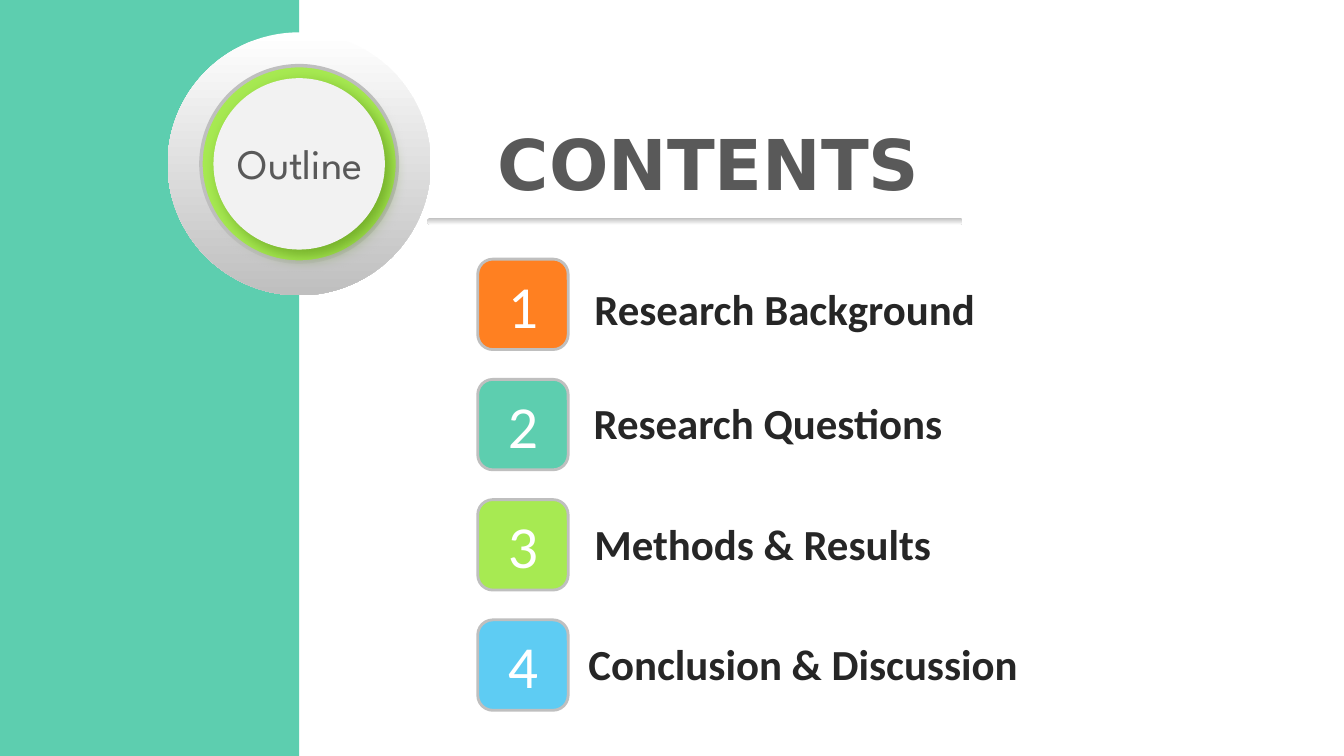
"""Build a contents slide with a round outline badge and four numbered topics."""
import math

import lxml.etree
import pptx
import pptx.dml.color
import pptx.enum.shapes
import pptx.enum.text
import pptx.oxml
import pptx.oxml.ns
import pptx.util

Cm = pptx.util.Cm
Pt = pptx.util.Pt
RGBColor = pptx.dml.color.RGBColor
MSO_SHAPE = pptx.enum.shapes.MSO_SHAPE
PP_ALIGN = pptx.enum.text.PP_ALIGN
MSO_ANCHOR = pptx.enum.text.MSO_ANCHOR
MSO_AUTO_SIZE = pptx.enum.text.MSO_AUTO_SIZE

TEAL = RGBColor(0x5D, 0xCE, 0xAF)
ORANGE = RGBColor(0xFF, 0x80, 0x21)
LIME = RGBColor(0xA7, 0xEA, 0x52)
SKY = RGBColor(0x5E, 0xCC, 0xF3)
WHITE = RGBColor(0xFF, 0xFF, 0xFF)
PALE = RGBColor(0xF2, 0xF2, 0xF2)
SILVER = RGBColor(0xBF, 0xBF, 0xBF)
GREY = RGBColor(0x59, 0x59, 0x59)
INK = RGBColor(0x26, 0x26, 0x26)
MOSS = RGBColor(0x56, 0x8C, 0x11)

CENTER_X, CENTER_Y = 7.54, 4.13
ROW_TOP, ROW_PITCH, BADGE_LEFT, BADGE_SIZE = 6.53, 3.03, 12.04, 2.28
TOPICS = [
    ("Research Background", ORANGE, 14.73, 6.99, 11.48),
    ("Research Questions", TEAL, 14.71, 9.88, 11.48),
    ("Methods & Results", LIME, 14.73, 12.93, 10.49),
    ("Conclusion & Discussion", SKY, 14.58, 15.95, 12.47),
]


class Deck:
    """Hold the text style and the current slide, and draw elements on it."""

    body_font = "Calibri"

    def __init__(self, prs):
        self.slide = prs.slides.add_slide(prs.slide_layouts[5])
        self.shapes = self.slide.shapes

    def set_text(self, sp, text, size, color, font=None, bold=False, align=PP_ALIGN.LEFT):
        tf = sp.text_frame
        tf.text = text
        tf.word_wrap = True
        p = tf.paragraphs[0]
        p.alignment = align
        r = p.runs[0]
        r.font.name = font or self.body_font
        r.font.size = Pt(size)
        r.font.bold = bold
        r.font.color.rgb = color
        return tf

    def title(self, text, left, top, width, height, size, font):
        sp = self.shapes.title
        sp.left, sp.top, sp.width, sp.height = Cm(left), Cm(top), Cm(width), Cm(height)
        tf = self.set_text(sp, text, size, GREY, font, bold=True)
        tf.vertical_anchor = MSO_ANCHOR.TOP
        tf.auto_size = MSO_AUTO_SIZE.SHAPE_TO_FIT_TEXT

    def textbox(self, parent, text, left, top, width, height, size, color, **style):
        sp = parent.add_textbox(Cm(left), Cm(top), Cm(width), Cm(height))
        tf = self.set_text(sp, text, size, color, **style)
        tf.auto_size = MSO_AUTO_SIZE.SHAPE_TO_FIT_TEXT

    def shape(self, parent, kind, left, top, width, height, colors, line=None):
        sp = parent.add_shape(kind, Cm(left), Cm(top), Cm(width), Cm(height))
        sp.shadow.inherit = False
        if len(colors) == 1:
            sp.fill.solid()
            sp.fill.fore_color.rgb = colors[0]
        else:
            sp.fill.gradient()
            sp.fill.gradient_angle = 270
            for stop, color in zip(sp.fill.gradient_stops, colors):
                stop.color.rgb = color
        if line:
            sp.line.color.rgb = SILVER
            sp.line.width = Pt(line)
        else:
            sp.line.fill.background()
        return sp

    def disc(self, parent, diameter, colors, line=None):
        left, top = CENTER_X - diameter / 2, CENTER_Y - diameter / 2
        return self.shape(parent, MSO_SHAPE.OVAL, left, top, diameter, diameter, colors, line)

    def cast_shadow(self, sp, color, blur, distance, angle, opacity):
        qn = pptx.oxml.ns.qn
        effects = sp.element.spPr.find(qn("a:effectLst"))
        shadow = lxml.etree.SubElement(
            effects, qn("a:outerShdw"), blurRad=str(Pt(blur)), dist=str(Pt(distance)),
            dir=str(angle * 60000), algn="tl", rotWithShape="0")
        tint = lxml.etree.SubElement(shadow, qn("a:srgbClr"), val=str(color))
        lxml.etree.SubElement(tint, qn("a:alpha"), val=str(opacity * 1000))

    def sidebar(self, left, height, notch):
        angles = [math.radians(a) for a in range(0, 181, 5)]
        arc = [(Cm(CENTER_X - notch * math.sin(a)), Cm(CENTER_Y - notch * math.cos(a)))
               for a in angles]
        outline = self.shapes.build_freeform(Cm(left), 0)
        outline.add_line_segments(
            [(Cm(CENTER_X), 0), *arc, (Cm(CENTER_X), Cm(height)), (Cm(left), Cm(height))])
        sp = outline.convert_to_shape()
        sp.shadow.inherit = False
        sp.fill.solid()
        sp.fill.fore_color.rgb = TEAL
        sp.line.fill.background()

    def topic(self, index, label, color, left, top, width):
        group = self.shapes.add_group_shape().shapes
        self.textbox(group, label, left, top, width, 1.57, 30.6, INK, bold=True)
        sp = self.shape(group, MSO_SHAPE.ROUNDED_RECTANGLE, BADGE_LEFT,
                        ROW_TOP + index * ROW_PITCH, BADGE_SIZE, BADGE_SIZE, [color], 2)
        tf = self.set_text(sp, str(index + 1), 42.6, WHITE, align=PP_ALIGN.CENTER)
        tf.vertical_anchor = MSO_ANCHOR.MIDDLE


def main():
    prs = pptx.Presentation()
    prs.slide_width, prs.slide_height = Cm(33.87), Cm(19.05)
    deck = Deck(prs)
    deck.sidebar(-0.33, 19.05, 3.03)

    dial = deck.shapes.add_group_shape().shapes
    deck.disc(dial, 6.63, [WHITE, SILVER])
    deck.disc(dial, 4.95, [LIME], 2.5)
    face = deck.disc(dial, 4.32, [PALE])
    deck.cast_shadow(face, MOSS, 12, 6, 45, 64)

    deck.title("CONTENTS", 12.29, 2.92, 11.43, 2.39, 50, "DejaVu Sans")
    deck.textbox(deck.shapes, "Outline", 5.05, 3.35, 5.03, 1.55, 30, GREY,
                 font="League Spartan", align=PP_ALIGN.CENTER)
    rule = deck.shape(deck.shapes, MSO_SHAPE.ROUNDED_RECTANGLE,
                      10.77, 5.49, 13.49, 0.18, [SILVER, WHITE])
    rule.adjustments[0] = 0.5

    for index, topic in enumerate(TOPICS):
        deck.topic(index, *topic)
    prs.save("out.pptx")


if __name__ == "__main__":
    main()
